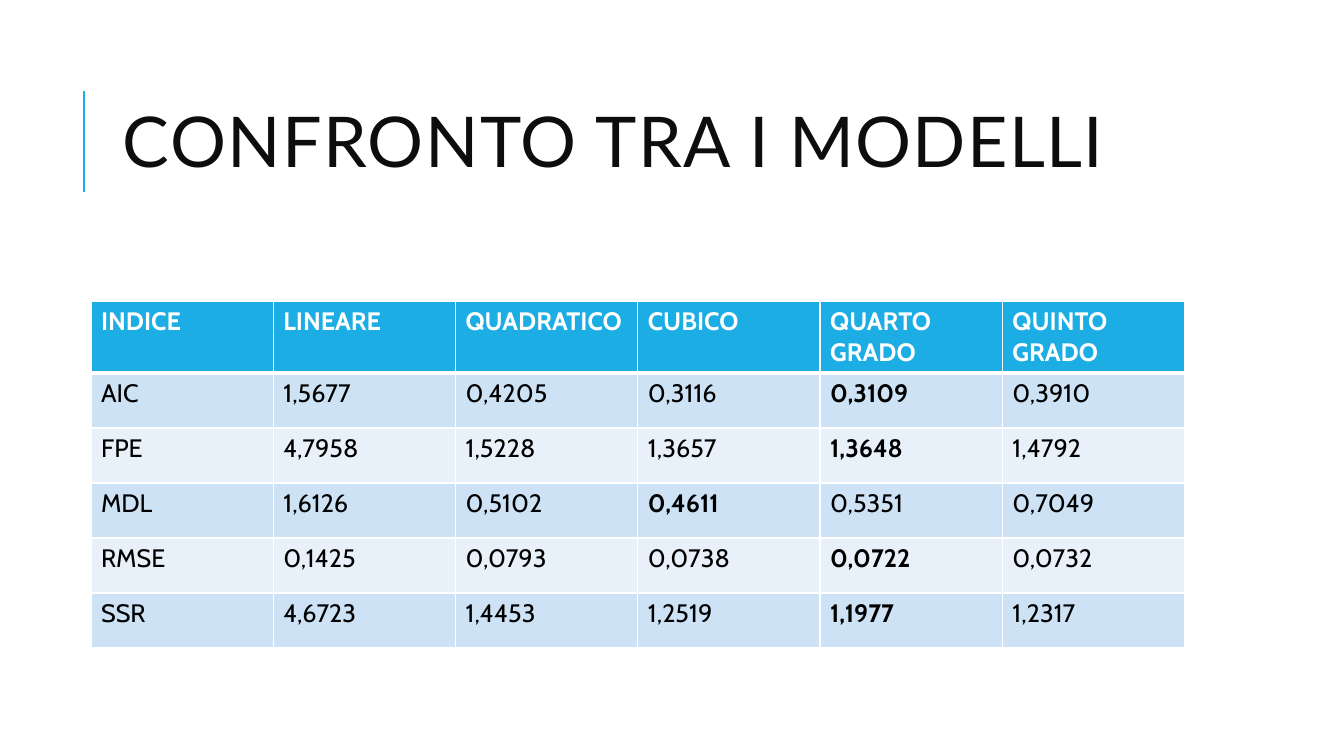
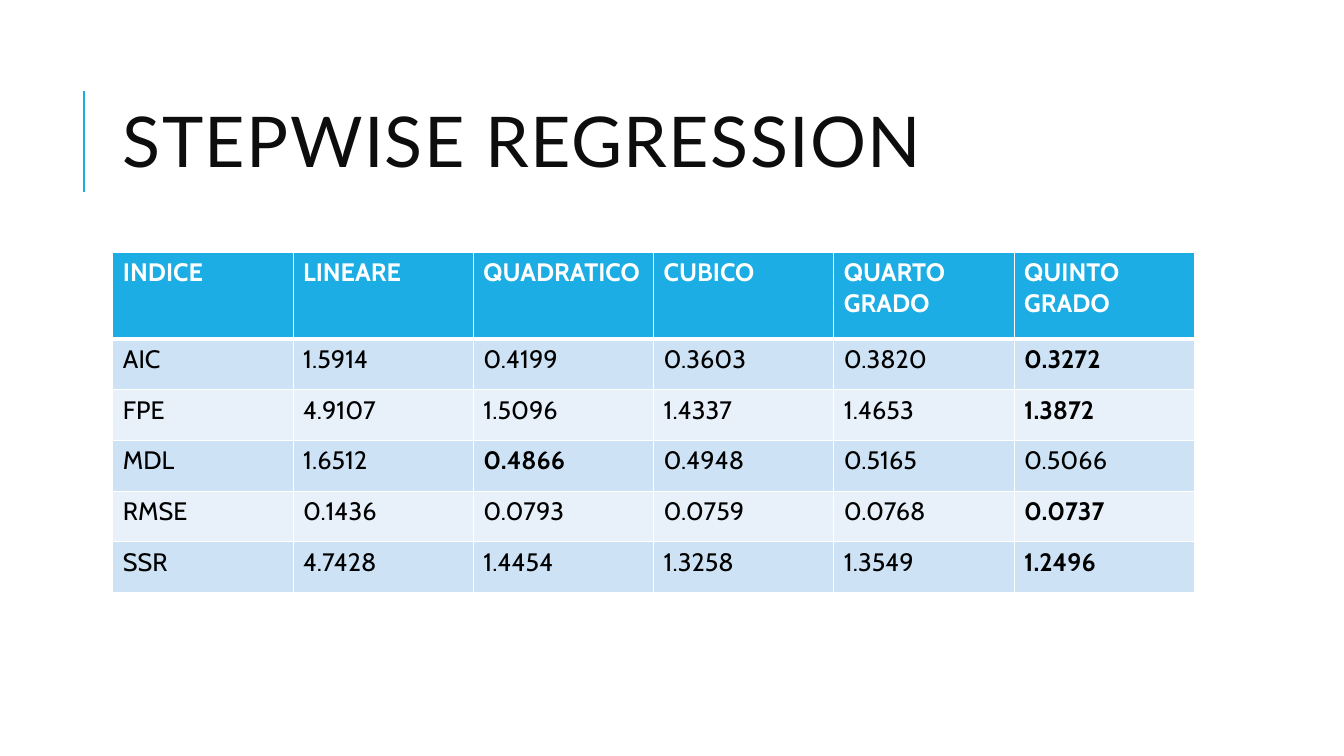
from lxml.etree import SubElement
from pptx import Presentation
from pptx.dml.color import RGBColor
from pptx.enum.shapes import MSO_CONNECTOR
from pptx.enum.text import MSO_ANCHOR, MSO_AUTO_SIZE, PP_ALIGN
from pptx.oxml import parse_xml
from pptx.oxml.ns import nsdecls, qn
from pptx.util import Pt

COLORS = {
    "accent": "1CADE4",
    "title": "0D0D0D",
    "text": "000000",
    "white": "FFFFFF",
    "odd": "CDE3F5",
    "even": "E8F1FA",
}
HEADERS = ["INDICE", "LINEARE", "QUADRATICO", "CUBICO", "QUARTO GRADO", "QUINTO GRADO"]
MODEL_ROWS = [
    ["AIC", "1,5677", "0,4205", "0,3116", "0,3109", "0,3910"],
    ["FPE", "4,7958", "1,5228", "1,3657", "1,3648", "1,4792"],
    ["MDL", "1,6126", "0,5102", "0,4611", "0,5351", "0,7049"],
    ["RMSE", "0,1425", "0,0793", "0,0738", "0,0722", "0,0732"],
    ["SSR", "4,6723", "1,4453", "1,2519", "1,1977", "1,2317"],
]
STEPWISE_ROWS = [
    ["AIC", "1.5914", "0.4199", "0.3603", "0.3820", "0.3272"],
    ["FPE", "4.9107", "1.5096", "1.4337", "1.4653", "1.3872"],
    ["MDL", "1.6512", "0.4866", "0.4948", "0.5165", "0.5066"],
    ["RMSE", "0.1436", "0.0793", "0.0759", "0.0768", "0.0737"],
    ["SSR", "4.7428", "1.4454", "1.3258", "1.3549", "1.2496"],
]


class Deck:
    """Builds slides in one shared style, all lengths in points."""

    title_font = "Lato"
    table_font = "Cabin"

    def __init__(self):
        self.presentation = Presentation()
        self.presentation.slide_width = Pt(960)
        self.presentation.slide_height = Pt(540)
        self.slide = None

    def color(self, name):
        return RGBColor.from_string(COLORS[name])

    def format_run(self, run, font_name, size, color, bold=False):
        run.font.name = font_name
        run.font.size = Pt(size)
        run.font.bold = bold
        run.font.color.rgb = self.color(color)

    def add_slide(self, title):
        layout = self.presentation.slide_layouts.get_by_name("Title Only")
        self.slide = self.presentation.slides.add_slide(layout)
        self.add_title_rule()
        self.set_title(title)

    def add_title_rule(self):
        rule = self.slide.shapes.add_connector(
            MSO_CONNECTOR.STRAIGHT, Pt(60), Pt(137), Pt(60), Pt(65)
        )
        rule.line.color.rgb = self.color("accent")
        rule.line.width = Pt(1.5)
        SubElement(rule._element.spPr, qn("a:effectLst"))

    def set_title(self, text):
        title = self.slide.shapes.title
        title.left, title.top = Pt(80.64), Pt(46)
        title.width, title.height = Pt(765.36), Pt(118)
        frame = title.text_frame
        frame.text = text
        frame.word_wrap = True
        frame.auto_size = MSO_AUTO_SIZE.NONE
        frame.vertical_anchor = MSO_ANCHOR.MIDDLE
        paragraph = frame.paragraphs[0]
        paragraph.alignment = PP_ALIGN.LEFT
        paragraph.line_spacing = 0.8
        run = paragraph.runs[0]
        self.format_run(run, self.title_font, 50, "title")
        run.font._element.set("spc", "100")

    def add_table(self, rows, left, top, column_width, header_height, row_height):
        """Adds the index table, with the lowest value of each row in bold."""
        grid = [HEADERS] + rows
        heights = [header_height] + [row_height] * len(rows)
        table = self.slide.shapes.add_table(
            len(grid), len(HEADERS), Pt(left), Pt(top),
            Pt(column_width * len(HEADERS)), Pt(sum(heights)),
        ).table
        for column in table.columns:
            column.width = Pt(column_width)
        for row_index, values in enumerate(grid):
            table.rows[row_index].height = Pt(heights[row_index])
            header = row_index == 0
            fill = "accent" if header else "odd" if row_index % 2 else "even"
            best = min(values[1:])
            for column_index, value in enumerate(values):
                cell = table.cell(row_index, column_index)
                cell.text = value
                cell.fill.solid()
                cell.fill.fore_color.rgb = self.color(fill)
                self.format_run(
                    cell.text_frame.paragraphs[0].runs[0], self.table_font, 18,
                    "white" if header else "text", header or value == best,
                )
                self.set_borders(cell, row_index)

    def set_borders(self, cell, row_index):
        widths = {
            "lnL": 1,
            "lnR": 1,
            "lnT": 3 if row_index == 1 else 1,
            "lnB": 3 if row_index == 0 else 1,
        }
        properties = cell._tc.get_or_add_tcPr()
        for position, (edge, width) in enumerate(widths.items()):
            properties.insert(position, parse_xml(
                f'<a:{edge} {nsdecls("a")} w="{Pt(width)}"><a:solidFill>'
                f'<a:srgbClr val="{COLORS["white"]}"/></a:solidFill></a:{edge}>'
            ))


deck = Deck()
deck.add_slide("CONFRONTO TRA I MODELLI")
deck.add_table(MODEL_ROWS, 65, 215.3, 130.2, 39.3, 39.3)
deck.add_slide("STEPWISE REGRESSION")
deck.add_table(STEPWISE_ROWS, 80.64, 180.2, 128.75, 62, 36.2)
deck.presentation.save("out.pptx")
